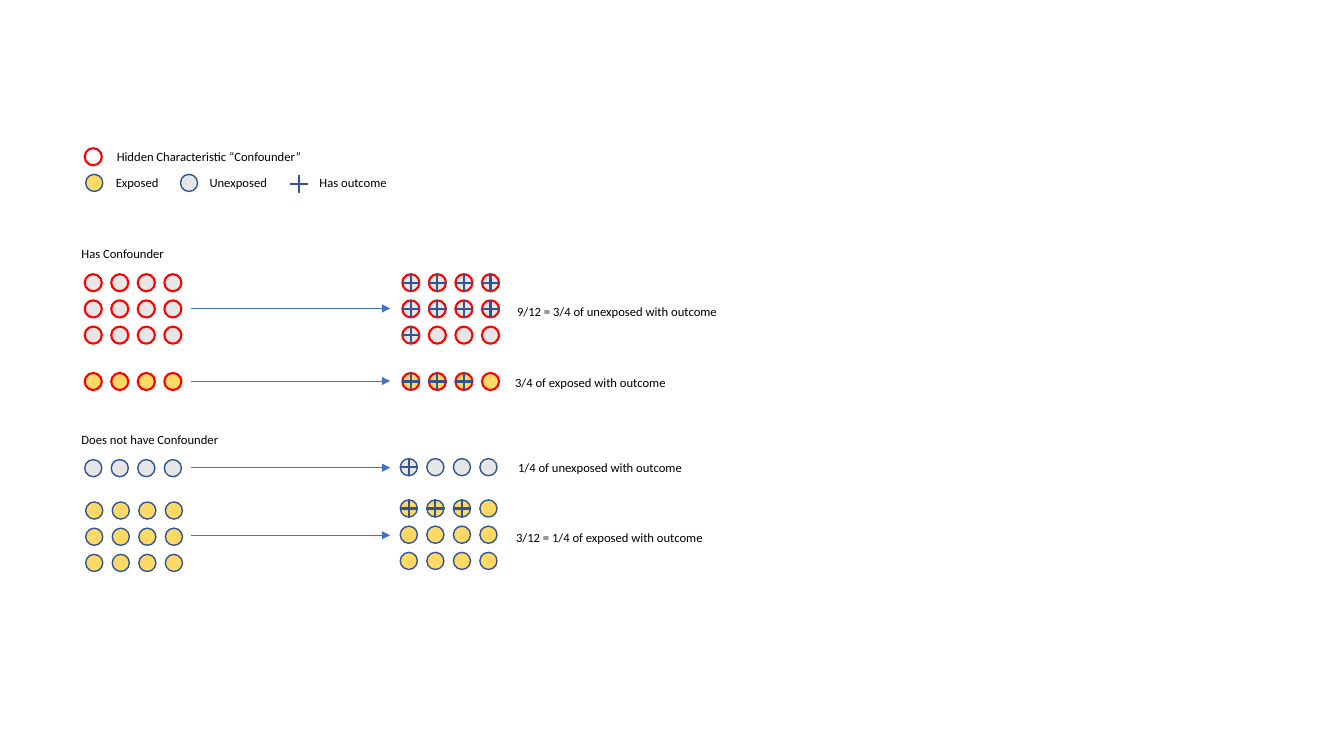
import pptx
import pptx.util
import pptx.dml.color
import pptx.enum.shapes
import pptx.enum.text
import lxml.etree
from pptx.util import Inches

COLORS = {"exposed": "FFD966", "unexposed": "E7E6E6", "confounder": "FF0000",
          "outline": "325491", "blue": "4472C4", "text": "000000"}
SHAPES = pptx.enum.shapes.MSO_SHAPE
DOT = 0.17
COLUMNS = 4
COL_PITCH = 0.79 / 3
ROW_PITCH = 0.26


class Deck:
    """Holds the style and the current slide."""

    font, size = "Calibri", 9

    def __init__(self, prs):
        """Add a blank slide to the presentation."""
        self.s = prs.slides.add_slide(prs.slide_layouts[6])

    def color(self, name):
        """Return the named colour."""
        return pptx.dml.color.RGBColor.from_string(COLORS[name])

    def shape(self, kind, x, y, fill, line, width):
        """Draw one marker of the common size."""
        sp = self.s.shapes.add_shape(kind, Inches(x), Inches(y), Inches(DOT), Inches(DOT))
        sp.shadow.inherit = False
        if fill:
            sp.fill.solid()
            sp.fill.fore_color.rgb = self.color(fill)
        else:
            sp.fill.background()
        sp.line.color.rgb = self.color(line)
        sp.line.width = pptx.util.Pt(width)
        return sp

    def person(self, x, y, fill, confounder=False):
        """Draw a circle, ringed in red if it has the confounder."""
        line, width = ("confounder", 1.5) if confounder else ("outline", 1)
        self.shape(SHAPES.OVAL, x, y, fill, line, width)

    def outcome(self, x, y, fill):
        """Draw the thin plus that marks an outcome."""
        sp = self.shape(SHAPES.CROSS, x, y, fill, "outline", 1)
        sp.adjustments[0] = 0.475

    def people(self, x, y, rows, fill, confounder, outcomes=0, plus="exposed"):
        """Draw a grid of people, the first ones with an outcome."""
        spots = [(x + c * COL_PITCH, y + r * ROW_PITCH)
                 for r in range(rows) for c in range(COLUMNS)]
        for spot in spots:
            self.person(*spot, fill, confounder)
        for spot in spots[:outcomes]:
            self.outcome(*spot, plus)

    def text(self, x, y, w, words):
        """Write one line of text."""
        sp = self.s.shapes.add_textbox(Inches(x), Inches(y), Inches(w), Inches(0.25))
        tf = sp.text_frame
        tf.text = words
        tf.word_wrap = False
        tf.auto_size = pptx.enum.text.MSO_AUTO_SIZE.SHAPE_TO_FIT_TEXT
        r = tf.paragraphs[0].runs[0]
        r.font.name = self.font
        r.font.size = pptx.util.Pt(self.size)
        r.font.color.rgb = self.color("text")

    def arrow(self, y, x1=1.89, x2=3.87):
        """Draw a level arrow from the first group to the second."""
        cx = self.s.shapes.add_connector(pptx.enum.shapes.MSO_CONNECTOR.STRAIGHT,
                                         Inches(x1), Inches(y), Inches(x2), Inches(y))
        cx.line.color.rgb = self.color("blue")
        cx.line.width = pptx.util.Pt(0.5)
        ns = pptx.oxml.ns.qn
        lxml.etree.SubElement(cx.line._get_or_add_ln(), ns("a:tailEnd"), type="triangle")
        lxml.etree.SubElement(cx._element.spPr, ns("a:effectLst"))


def legend(deck):
    """Draw the key to the markers."""
    deck.person(0.84, 1.47, None, True)
    deck.person(0.85, 1.73, "exposed")
    deck.person(1.79, 1.73, "unexposed")
    deck.outcome(2.88, 1.74, "blue")
    deck.text(1.06, 1.43, 2.05, "Hidden Characteristic “Confounder”")
    for x, w, words in ((1.05, 0.63, "Exposed"), (1.98, 0.78, "Unexposed"),
                        (3.07, 0.88, "Has outcome")):
        deck.text(x, 1.69, w, words)


# fill, confounder, rows, outcomes, plus fill, (x, y) before, (x, y) after, arrow y, result
GROUPS = [
    ("unexposed", True, 3, 9, "exposed", (0.84, 2.72), (3.99, 2.72), 3.06,
     (5.03, 2.97, 2.2, "9/12 = 3/4 of unexposed with outcome")),
    ("exposed", True, 1, 3, "exposed", (0.84, 3.7), (3.99, 3.7), 3.78,
     (5.01, 3.67, 1.71, "3/4 of exposed with outcome")),
    ("unexposed", False, 1, 1, "blue", (0.84, 4.56), (3.97, 4.55), 4.64,
     (5.04, 4.51, 1.84, "1/4 of unexposed with outcome")),
    ("exposed", False, 3, 3, "exposed", (0.85, 4.98), (3.97, 4.96), 5.31,
     (5.02, 5.21, 2.07, "3/12 = 1/4 of exposed with outcome")),
]


def main():
    """Build and save the slide."""
    prs = pptx.Presentation()
    prs.slide_width, prs.slide_height = Inches(13.33), Inches(7.5)
    deck = Deck(prs)
    legend(deck)
    deck.text(0.71, 2.39, 1.03, "Has Confounder")
    deck.text(0.71, 4.24, 1.58, "Does not have Confounder")
    for fill, confounder, rows, outcomes, plus, before, after, arrow_y, result in GROUPS:
        deck.people(*before, rows, fill, confounder)
        deck.people(*after, rows, fill, confounder, outcomes, plus)
        deck.arrow(arrow_y)
        deck.text(*result)
    prs.save("out.pptx")


main()
